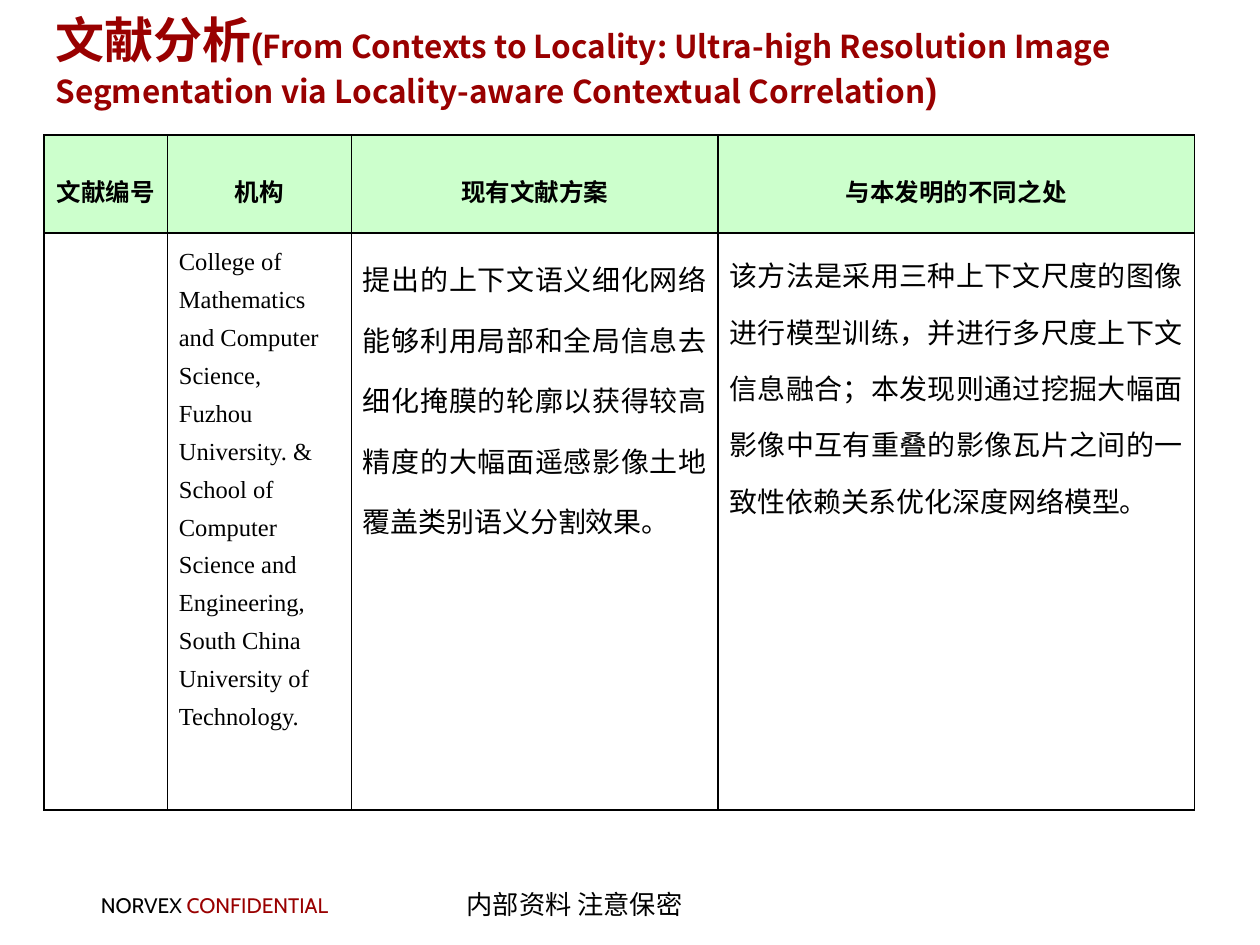
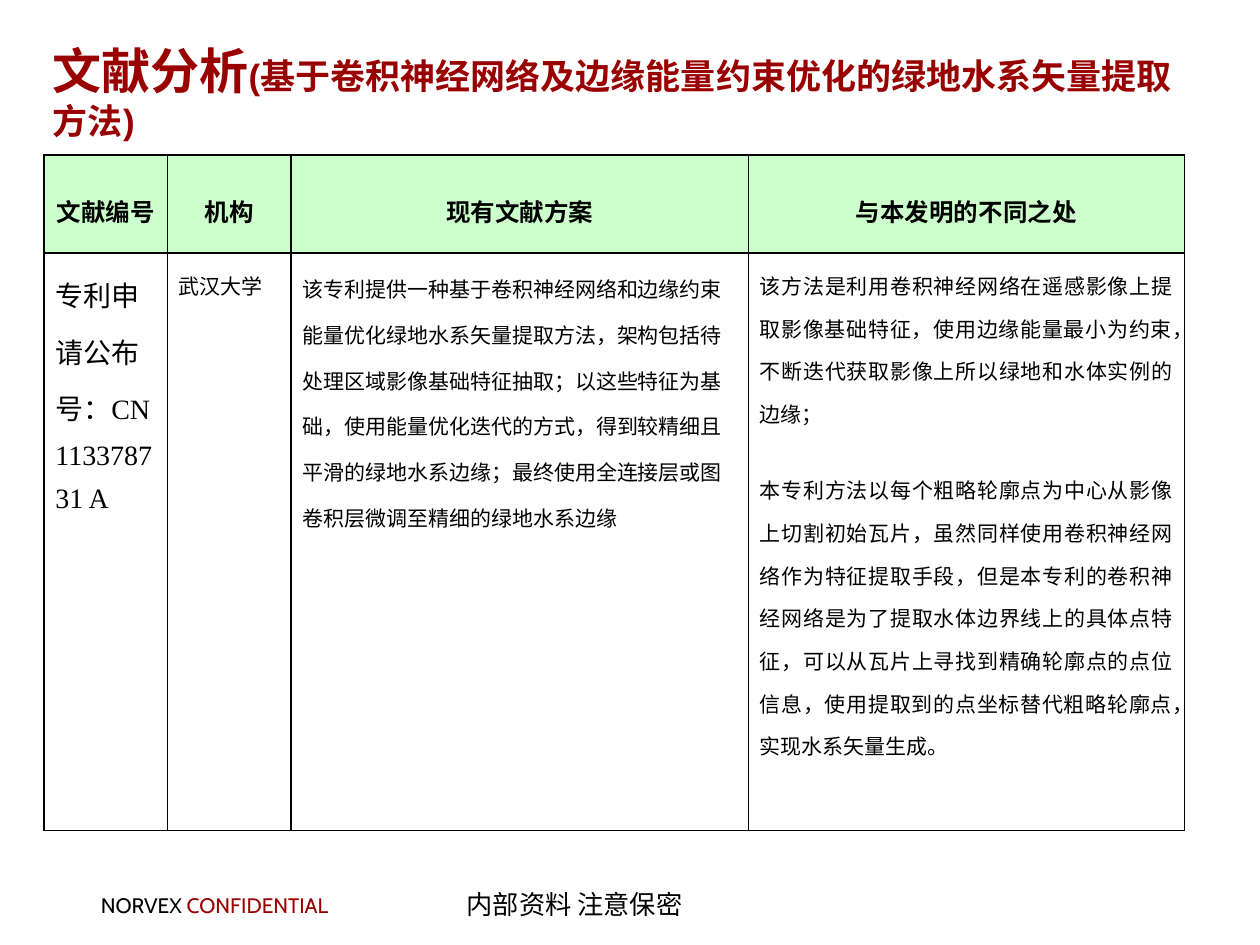
from dataclasses import dataclass, field
from typing import Any

from lxml.etree import SubElement
from pptx import Presentation
from pptx.dml.color import RGBColor
from pptx.enum.text import MSO_ANCHOR, MSO_AUTO_SIZE, PP_ALIGN
from pptx.oxml.ns import qn
from pptx.util import Inches, Pt

DARK_RED = RGBColor(0x99, 0x00, 0x00)
BLACK = RGBColor(0x00, 0x00, 0x00)
PALE_GREEN = RGBColor(0xCC, 0xFF, 0xCC)

ARIAL = "Arial"
CABIN = "Cabin"
HAN = "Noto Sans CJK SC"
TIMES = "Times New Roman"

GRID_COLUMNS = 100
GRID_ROWS = 75
HEADINGS = ("文献编号", "机构", "现有文献方案", "与本发明的不同之处")
ROW_HEIGHTS = (7.8, 45.8)


def write(paragraph, text, size=14, font=TIMES, color=BLACK, bold=False):
    run = paragraph.add_run()
    run.text = text
    run.font.size = Pt(size)
    run.font.name = font
    run.font.bold = bold
    run.font.color.rgb = color
    SubElement(run.font._element, qn("a:ea")).set("typeface", HAN)


@dataclass
class CellText:
    paragraphs: tuple = ()
    size: int = 14
    align: Any = PP_ALIGN.LEFT
    spacing: float = 1.4
    gap: float = 0


@dataclass
class Deck:
    prs: Any
    slide: Any = field(default=None)

    def x(self, columns):
        return round(self.prs.slide_width * columns / GRID_COLUMNS)

    def y(self, rows):
        return round(self.prs.slide_height * rows / GRID_ROWS)

    def box(self, left, top, width, height):
        return self.x(left), self.y(top), self.x(width), self.y(height)

    def margins(self, target):
        target.margin_left = target.margin_right = Inches(0.09)
        target.margin_top = target.margin_bottom = Inches(0.04)

    def start(self):
        self.slide = self.prs.slides.add_slide(self.prs.slide_layouts[5])
        self.label((7.1, 70.4, 21.1, 2.8),
                   [("NORVEX ", BLACK), ("CONFIDENTIAL", DARK_RED)],
                   wrap=False, size=12, font=CABIN)
        self.label((30.4, 70.1, 30.4, 3.4), [("内部资料 注意保密", BLACK)],
                   align=PP_ALIGN.CENTER, size=15, font=ARIAL)

    def label(self, place, parts, wrap=True, align=PP_ALIGN.LEFT, **style):
        frame = self.slide.shapes.add_textbox(*self.box(*place)).text_frame
        frame.word_wrap = wrap
        self.margins(frame)
        frame.paragraphs[0].alignment = align
        for text, color in parts:
            write(frame.paragraphs[0], text, color=color, **style)

    def title(self, place, parts):
        heading = self.slide.shapes.title
        heading.left, heading.top, heading.width, heading.height = self.box(*place)
        frame = heading.text_frame
        frame.auto_size = MSO_AUTO_SIZE.NONE
        frame.word_wrap = True
        frame.vertical_anchor = MSO_ANCHOR.MIDDLE
        self.margins(frame)
        frame.paragraphs[0].alignment = PP_ALIGN.LEFT
        for text, size, font in parts:
            write(frame.paragraphs[0], text, size=size, font=font,
                  color=DARK_RED, bold=True)

    def border(self, cell):
        properties = cell._tc.get_or_add_tcPr()
        for side in ("lnL", "lnR", "lnT", "lnB"):
            line = SubElement(properties, qn(f"a:{side}"), w=str(Pt(1)))
            fill = SubElement(line, qn("a:solidFill"))
            SubElement(fill, qn("a:srgbClr"), val=str(BLACK))

    def fill_cell(self, cell, content, is_heading):
        self.border(cell)
        self.margins(cell)
        if is_heading:
            cell.fill.solid()
            cell.fill.fore_color.rgb = PALE_GREEN
            cell.vertical_anchor = MSO_ANCHOR.MIDDLE
        else:
            cell.fill.background()
        frame = cell.text_frame
        for index, text in enumerate(content.paragraphs):
            paragraph = frame.add_paragraph() if index else frame.paragraphs[0]
            paragraph.alignment = content.align
            paragraph.line_spacing = content.spacing
            if index:
                paragraph.space_before = Pt(content.gap)
            write(paragraph, text, size=content.size,
                  font=HAN if is_heading else TIMES, bold=is_heading)

    def comparison(self, left, top, widths, findings):
        headings = [CellText((name,), align=PP_ALIGN.CENTER) for name in HEADINGS]
        place = self.box(left, top, sum(widths), sum(ROW_HEIGHTS))
        table = self.slide.shapes.add_table(2, len(widths), *place).table
        table.horz_banding = False
        for column, width in zip(table.columns, widths):
            column.width = self.x(width)
        for row, height in zip(table.rows, ROW_HEIGHTS):
            row.height = self.y(height)
        for row, contents in enumerate((headings, findings)):
            for column, content in enumerate(contents):
                self.fill_cell(table.cell(row, column), content, row == 0)


def context_paper(deck):
    deck.start()
    deck.title((3.5, 1.3, 91.5, 6.9), [
        ("文献分析", 28, ARIAL),
        ("(", 20, ARIAL),
        ("From Contexts to Locality: Ultra-high Resolution Image Segmentation "
         "via Locality-aware Contextual Correlation", 18, HAN),
        (")", 20, ARIAL),
    ])
    deck.comparison(3.5, 10.7, (9.8, 14.6, 29.1, 37.8), [
        CellText(),
        CellText(("College of Mathematics and Computer Science, Fuzhou University. "
                  "& School of Computer Science and Engineering, "
                  "South China University of Technology.",)),
        CellText(("提出的上下文语义细化网络能够利用局部和全局信息去细化掩膜的轮廓"
                  "以获得较高精度的大幅面遥感影像土地覆盖类别语义分割效果。",),
                 size=16, align=PP_ALIGN.JUSTIFY, spacing=1.5),
        CellText(("该方法是采用三种上下文尺度的图像进行模型训练，并进行多尺度上下文"
                  "信息融合；本发现则通过挖掘大幅面影像中互有重叠的影像瓦片之间的"
                  "一致性依赖关系优化深度网络模型。",),
                 size=16, align=PP_ALIGN.JUSTIFY),
    ])


def water_patent(deck):
    deck.start()
    deck.title((3.3, 2.9, 91.6, 8.7), [
        ("文献分析", 28, ARIAL),
        ("(基于卷积神经网络及边缘能量约束优化的绿地水系矢量提取方法)", 20, ARIAL),
    ])
    deck.comparison(3.5, 12.3, (9.8, 9.8, 36.3, 34.6), [
        CellText(("专利申请公布号：CN 113378731 A",), size=16),
        CellText(("武汉大学",), size=12),
        CellText(("该专利提供一种基于卷积神经网络和边缘约束能量优化绿地水系矢量提取"
                  "方法，架构包括待处理区域影像基础特征抽取；以这些特征为基础，使用"
                  "能量优化迭代的方式，得到较精细且平滑的绿地水系边缘；最终使用"
                  "全连接层或图卷积层微调至精细的绿地水系边缘",),
                 size=12, spacing=1.5),
        CellText(("该方法是利用卷积神经网络在遥感影像上提取影像基础特征，使用边缘能量"
                  "最小为约束，不断迭代获取影像上所以绿地和水体实例的边缘；",
                  "本专利方法以每个粗略轮廓点为中心从影像上切割初始瓦片，虽然同样使用"
                  "卷积神经网络作为特征提取手段，但是本专利的卷积神经网络是为了提取"
                  "水体边界线上的具体点特征，可以从瓦片上寻找到精确轮廓点的点位信息，"
                  "使用提取到的点坐标替代粗略轮廓点，实现水系矢量生成。"),
                 size=12, align=PP_ALIGN.JUSTIFY, gap=19.3),
    ])


def main():
    prs = Presentation()
    prs.slide_width, prs.slide_height = Inches(10), Inches(7.5)
    deck = Deck(prs)
    context_paper(deck)
    water_patent(deck)
    prs.save("out.pptx")


if __name__ == "__main__":
    main()
